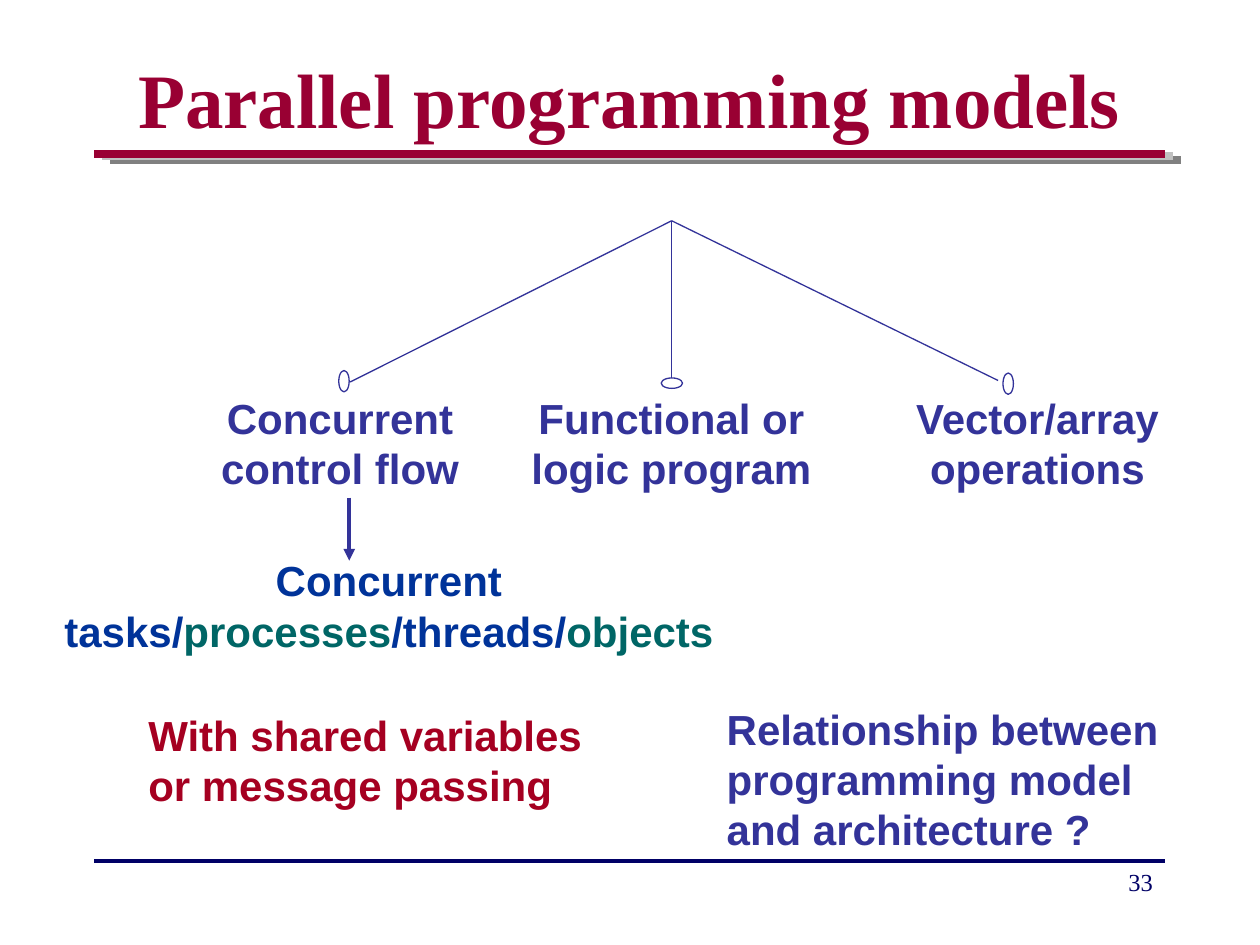
from lxml import etree
from pptx import Presentation
from pptx.dml.color import RGBColor
from pptx.enum import shapes, text
from pptx.oxml import parse_xml
from pptx.oxml.ns import nsdecls, qn
from pptx.util import Cm, Pt

COLORS = {
    "crimson": "990033", "red": "A50021", "indigo": "333399", "blue": "003399",
    "teal": "006666", "navy": "000066", "silver": "C0C0C0", "gray": "808080",
}
LEFT, CENTER, RIGHT = text.PP_ALIGN.LEFT, text.PP_ALIGN.CENTER, text.PP_ALIGN.RIGHT
TOP, MIDDLE, BOTTOM = text.MSO_ANCHOR.TOP, text.MSO_ANCHOR.MIDDLE, text.MSO_ANCHOR.BOTTOM

# Lengths are centimetres: left, top, width, height
TITLE = ("Parallel programming models", (1.9, 0.38, 21.59, 3.18))
PAGE_NUMBER = ("33", (18.21, 17.35, 5.28, 1.27))
LABELS = [
    ([("Concurrent control flow", "indigo")], (3.96, 7.77, 5.79, 2.29), CENTER, BOTTOM),
    ([("Functional or logic program", "indigo")], (10.36, 7.77, 6.35, 2.29), CENTER, BOTTOM),
    ([("Vector/array operations", "indigo")], (17.93, 7.77, 5.97, 2.29), CENTER, BOTTOM),
    ([("Concurrent tasks/", "blue"), ("processes", "teal"),
      ("/threads/", "blue"), ("objects", "teal")],
     (0.64, 11.05, 14.4, 2.29), CENTER, BOTTOM),
    ([("With shared variables or message passing", "red")],
     (2.74, 14.17, 9.53, 2.29), LEFT, TOP),
    ([("Relationship between programming model and architecture ?", "indigo")],
     (14.4, 14.05, 9.96, 3.3), LEFT, TOP),
]
# Rules: left, y, colour, width in points
RULE_LENGTH = 21.59
RULES = [
    (2.21, 3.23, "gray", 4.5), (2.06, 3.15, "silver", 4.5),
    (1.9, 3.1, "crimson", 4.5), (1.9, 17.35, "navy", 2.25),
]
ROOT = (13.54, 4.45)
BRANCH_ENDS = [(7.06, 7.7), (13.54, 7.62), (20.12, 7.67)]
ARROW = ((7.04, 10.03), (7.04, 11.3))
NODES = [
    (6.83, 7.47, 0.21, 0.43), (13.33, 7.62, 0.43, 0.21), (20.22, 7.52, 0.21, 0.43),
]


def rgb(name):
    return RGBColor.from_string(COLORS[name])


def add_line(slide, start, end, color, width, arrow=False):
    line = slide.shapes.add_connector(
        shapes.MSO_CONNECTOR.STRAIGHT, *(Cm(value) for value in (*start, *end)))
    line.line.color.rgb = rgb(color)
    line.line.width = Pt(width)
    if arrow:
        etree.SubElement(line.line._get_or_add_ln(), qn("a:tailEnd"), type="triangle")
    etree.SubElement(line._element.spPr, qn("a:effectLst"))


def add_text(slide, pieces, box, align, anchor, font="Arial", size=24, bold=True):
    """Add a one-paragraph text box from (wording, colour) pieces."""
    shape = slide.shapes.add_textbox(*map(Cm, box))
    frame = shape.text_frame
    frame.word_wrap = True
    frame.vertical_anchor = anchor
    paragraph = frame.paragraphs[0]
    paragraph.alignment = align
    for wording, color in pieces:
        run = paragraph.add_run()
        run.text = wording
        run.font.name = font
        run.font.size = Pt(size)
        run.font.bold = bold
        run.font.color.rgb = rgb(color)
    return shape


def add_text_shadow(run):
    shadow = parse_xml(
        f'<a:effectLst {nsdecls("a")}><a:outerShdw dist="35921" dir="2700000">'
        f'<a:srgbClr val="{COLORS["gray"]}"/></a:outerShdw></a:effectLst>')
    run.font.fill._xPr.find(qn("a:solidFill")).addnext(shadow)


def add_node(slide, box):
    node = slide.shapes.add_shape(shapes.MSO_SHAPE.OVAL, *map(Cm, box))
    node.shadow.inherit = False
    node.fill.background()
    node.line.color.rgb = rgb("indigo")
    node.line.width = Pt(0.75)


def main():
    presentation = Presentation()
    presentation.slide_width, presentation.slide_height = Cm(25.4), Cm(19.05)
    slide = presentation.slides.add_slide(presentation.slide_layouts[6])

    for left, y, color, width in RULES:
        add_line(slide, (left, y), (left + RULE_LENGTH, y), color, width)

    wording, box = TITLE
    title = add_text(slide, [(wording, "crimson")], box, CENTER, MIDDLE,
                     "Times New Roman", 44)
    add_text_shadow(title.text_frame.paragraphs[0].runs[0])

    for label in LABELS:
        add_text(slide, *label)
    for end in BRANCH_ENDS:
        add_line(slide, ROOT, end, "indigo", 0.75)
    add_line(slide, *ARROW, "indigo", 2.25, arrow=True)
    for node in NODES:
        add_node(slide, node)

    wording, box = PAGE_NUMBER
    add_text(slide, [(wording, "navy")], box, RIGHT, TOP, "Times New Roman", 14, False)
    presentation.save("out.pptx")


if __name__ == "__main__":
    main()
